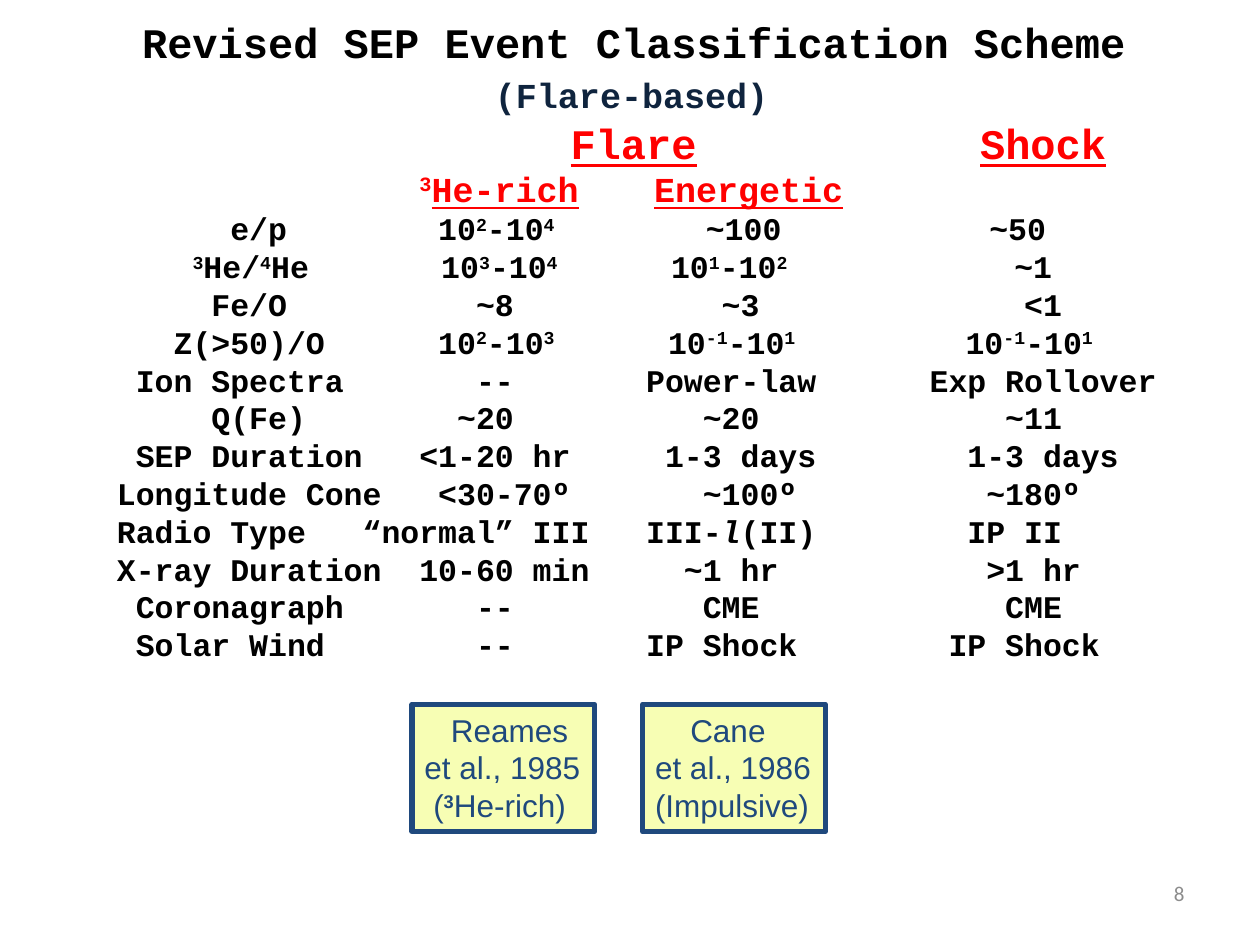
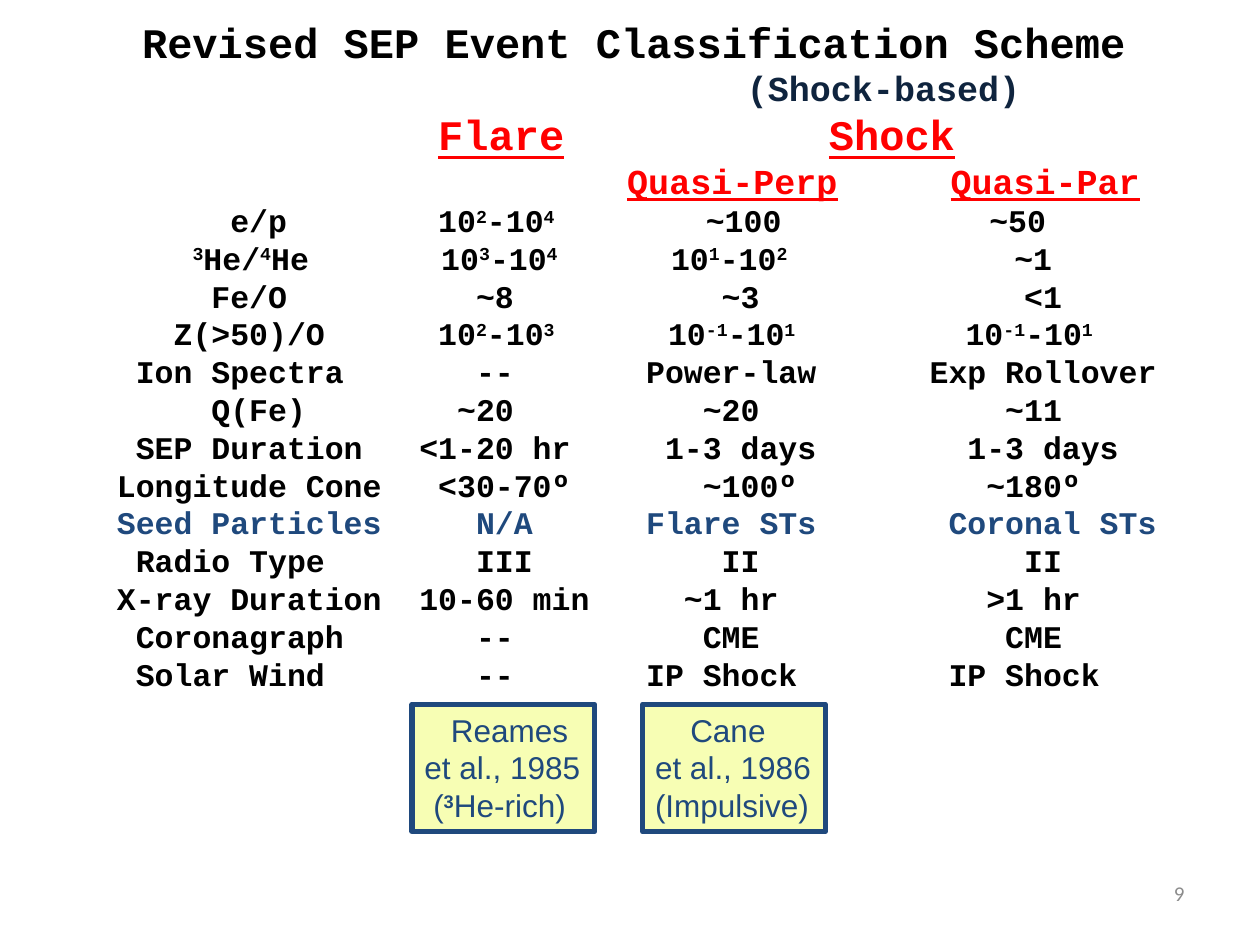
from dataclasses import dataclass

from lxml.etree import SubElement
from pptx import Presentation
from pptx.dml.color import RGBColor
from pptx.enum.shapes import MSO_SHAPE
from pptx.enum.text import MSO_ANCHOR, MSO_AUTO_SIZE, PP_ALIGN
from pptx.oxml.ns import qn
from pptx.util import Inches, Pt

# Content. A cell is (start column, text); ^x^ is superscript, *x* is italic.
TITLE = [(1.33, "Revised SEP Event Classification Scheme")]
COMPOSITION = [
    [(6, "e/p"), (17, "10^2^-10^4^"), (31.16, "~100"), (46.16, "~50")],
    [(4, "^3^He/^4^He"), (17.16, "10^3^-10^4^"), (29.32, "10^1^-10^2^"), (47.48, "~1")],
    [(5, "Fe/O"), (19, "~8"), (32, "~3"), (48, "<1")],
    [(3, "Z(>50)/O"), (17, "10^2^-10^3^"), (29.16, "10^-1^-10^1^"), (44.9, "10^-1^-10^1^")],
    [(1, "Ion Spectra"), (19, "--"), (28, "Power-law"), (43, "Exp Rollover")],
    [(5, "Q(Fe)"), (18, "~20"), (31, "~20"), (47, "~11")],
    [(1, "SEP Duration"), (16, "<1-20 hr"), (29, "1-3 days"), (45, "1-3 days")],
    [(0, "Longitude Cone"), (17, "<30-70º"), (31, "~100º"), (46, "~180º")],
]
ASSOCIATIONS = [
    [(0, "X-ray Duration"), (16, "10-60 min"), (30, "~1 hr"), (46, ">1 hr")],
    [(1, "Coronagraph"), (19, "--"), (31, "CME"), (47, "CME")],
    [(1, "Solar Wind"), (19, "--"), (28, "IP Shock"), (44, "IP Shock")],
]
SCHEMES = [
    {
        "number": "8", "height": 5.28, "subtitle_gap": 24,
        "subtitle": [(20, "(Flare-based)")],
        "groups": [(24, "Flare"), (45.67, "Shock")], "rule_end": 54.33,
        "subgroups": [(16, "^3^He-rich"), (28.42, "Energetic")],
        "middle": [
            ("body", [(0, "Radio Type"), (13, "“normal” III"),
                      (28, "III-*l*(II)"), (45, "IP II")]),
        ],
    },
    {
        "number": "9", "height": 5.54, "subtitle_gap": 20,
        "subtitle": [(33.33, "(Shock-based)")],
        "groups": [(17, "Flare"), (37.67, "Shock")], "rule_end": 46.33,
        "subgroups": [(27, "Quasi-Perp"), (44.11, "Quasi-Par")],
        "middle": [
            ("accent", [(0, "Seed Particles"), (19, "N/A"),
                        (28, "Flare STs"), (44, "Coronal STs")]),
            ("body", [(1, "Radio Type"), (19, "III"), (32, "II"), (48, "II")]),
        ],
    },
]
# Citation boxes: left edge, then (indent, text) lines
CITATIONS = [
    (3.27, [(0.21, "Reames"), (0, "et al., 1985"), (0.07, "(^3^He-rich)")]),
    (5.1, [(0.28, "Cane"), (0, "et al., 1986"), (0, "(Impulsive)")]),
]


@dataclass(frozen=True)
class Theme:
    mono: str = "Courier New"
    sans: str = "Arial"
    footer: str = "Calibri"
    black: str = "000000"
    navy: str = "0F243E"
    red: str = "FF0000"
    blue: str = "1F497D"
    cream: str = "F7FEB4"
    grey: str = "8C8C8C"
    title: int = 24
    heading: int = 20
    body: int = 18
    number: int = 12
    column: float = 0.15  # width of one body character, inches


T = Theme()
STYLES = {  # size, colour, underline
    "title": (T.title, T.black, False),
    "subtitle": (T.heading, T.navy, False),
    "group": (T.title, T.red, True),
    "subgroup": (T.heading, T.red, True),
    "body": (T.body, T.black, False),
    "accent": (T.body, T.blue, False),
}


def add_run(p, text, font, size, color, bold=False, underline=False):
    r = p.add_run()
    r.text = text
    r.font.name, r.font.size = font, Pt(size)
    r.font.color.rgb = RGBColor.from_string(color)
    r.font.bold, r.font.underline = bold, underline
    return r


def spans(text):
    """Yield (text, is superscript, is italic) for marked-up text."""
    for i, part in enumerate(text.split("^")):
        for j, bit in enumerate(part.split("*")):
            if bit:
                yield bit, i % 2 == 1, j % 2 == 1


def superscript(r):
    r.font._element.set("baseline", "30000")


def next_paragraph(tf, index):
    return tf.paragraphs[0] if index == 0 else tf.add_paragraph()


def set_tabs(p, columns):
    tabs = SubElement(p._p.get_or_add_pPr(), qn("a:tabLst"))
    for column in columns:
        SubElement(tabs, qn("a:tab"), pos=str(Inches(column * T.column)), algn="l")


def add_row(p, style, cells, gap=T.body, rule_end=None):
    stops = [column for column, _ in cells if column]
    set_tabs(p, stops + ([rule_end] if rule_end else []))
    size, color, underline = STYLES[style]
    for column, text in cells:
        if column:
            add_run(p, "\t", T.mono, gap, T.black, True)
        for bit, sup, italic in spans(text):
            r = add_run(p, bit, T.mono, size, color, True, underline and not sup)
            r.font.italic = italic
            if sup:
                superscript(r)
    if rule_end:  # the heading's underline runs on past the word
        add_run(p, "\t", T.mono, T.body, T.black, True, True)


def add_scheme(s, scheme):
    tf = s.shapes.add_textbox(
        Inches(0.83), Inches(0.08), Inches(8.5), Inches(scheme["height"])).text_frame
    tf.word_wrap = True
    tf.auto_size = MSO_AUTO_SIZE.SHAPE_TO_FIT_TEXT
    rows = [
        ("title", TITLE, T.title),
        ("subtitle", scheme["subtitle"], scheme["subtitle_gap"]),
        ("group", scheme["groups"], T.body, scheme["rule_end"]),
        ("subgroup", scheme["subgroups"]),
        *(("body", cells) for cells in COMPOSITION),
        *scheme["middle"],
        *(("body", cells) for cells in ASSOCIATIONS),
    ]
    for i, row in enumerate(rows):
        add_row(next_paragraph(tf, i), *row)


def add_citation(s, left, lines):
    sp = s.shapes.add_shape(
        MSO_SHAPE.RECTANGLE, Inches(left), Inches(5.59), Inches(1.45), Inches(1.01))
    sp.shadow.inherit = False
    sp.fill.solid()
    sp.fill.fore_color.rgb = RGBColor.from_string(T.cream)
    sp.line.color.rgb = RGBColor.from_string(T.blue)
    sp.line.width = Pt(3)
    tf = sp.text_frame
    tf.word_wrap = False
    tf.auto_size = MSO_AUTO_SIZE.SHAPE_TO_FIT_TEXT
    tf.vertical_anchor = MSO_ANCHOR.TOP
    for i, (indent, text) in enumerate(lines):
        p = next_paragraph(tf, i)
        p.alignment = PP_ALIGN.LEFT
        p._p.get_or_add_pPr().set("marL", str(Inches(indent)))
        for bit, sup, _ in spans(text):
            r = add_run(p, bit, T.sans, T.body, T.blue, bold=sup)
            if sup:
                superscript(r)


def add_number(s, number):
    tf = s.shapes.add_textbox(
        Inches(7.17), Inches(6.83), Inches(2.33), Inches(0.52)).text_frame
    tf.word_wrap = True
    tf.vertical_anchor = MSO_ANCHOR.MIDDLE
    p = tf.paragraphs[0]
    p.alignment = PP_ALIGN.RIGHT
    add_run(p, number, T.footer, T.number, T.grey)


def main():
    prs = Presentation()
    prs.slide_width, prs.slide_height = Inches(10), Inches(7.5)
    for scheme in SCHEMES:
        s = prs.slides.add_slide(prs.slide_layouts[6])
        add_number(s, scheme["number"])
        add_scheme(s, scheme)
        for left, lines in CITATIONS:
            add_citation(s, left, lines)
    prs.save("out.pptx")


if __name__ == "__main__":
    main()
